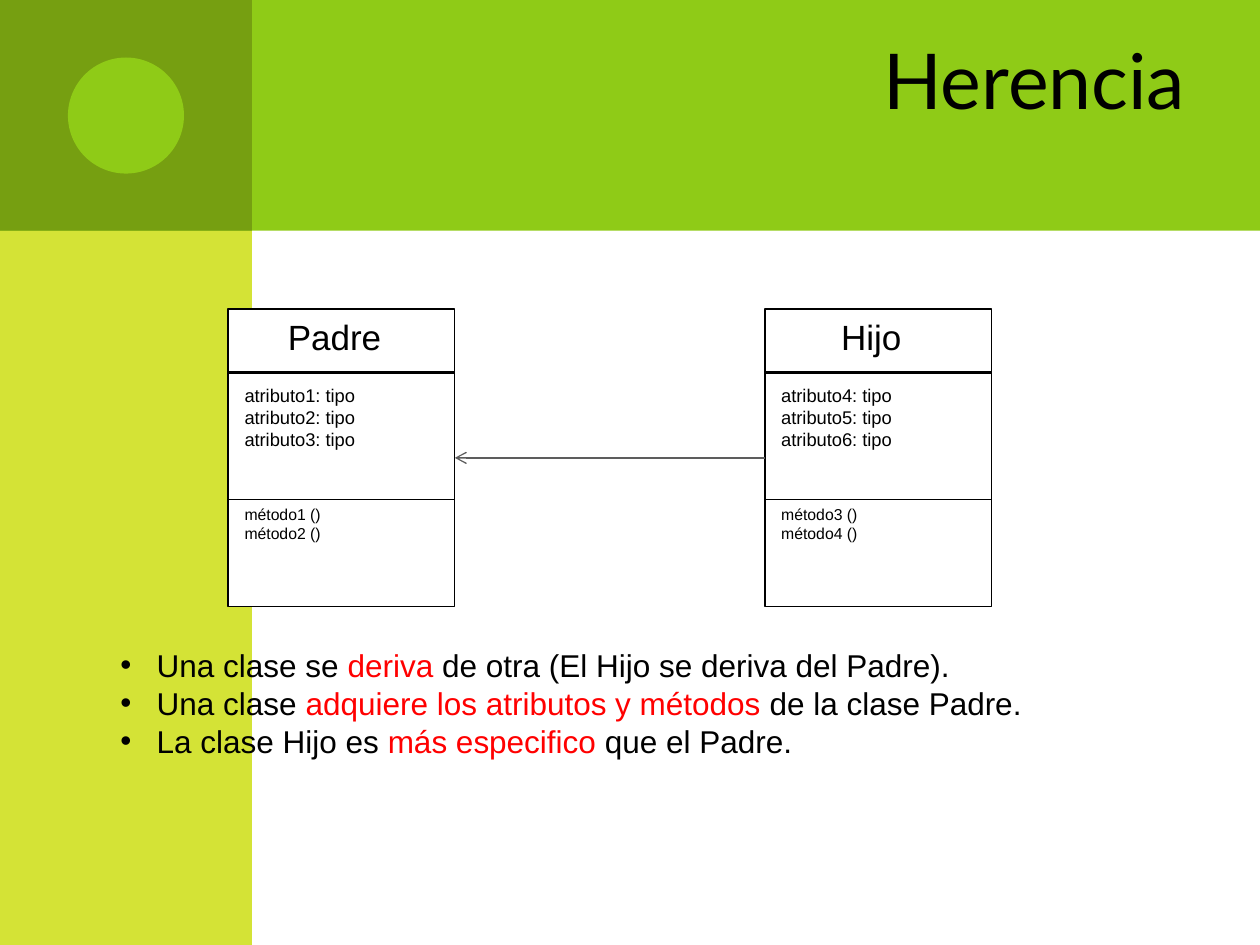
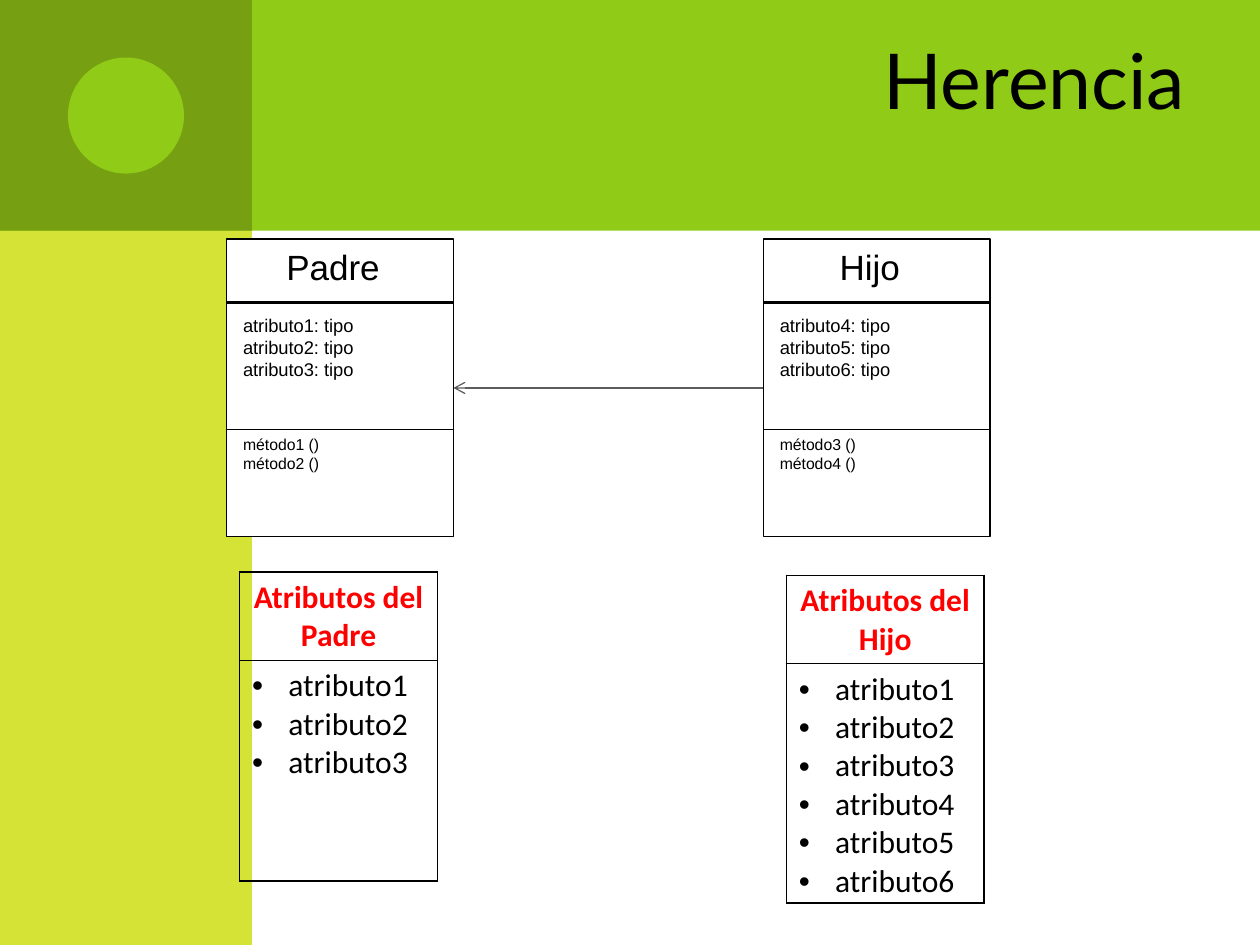
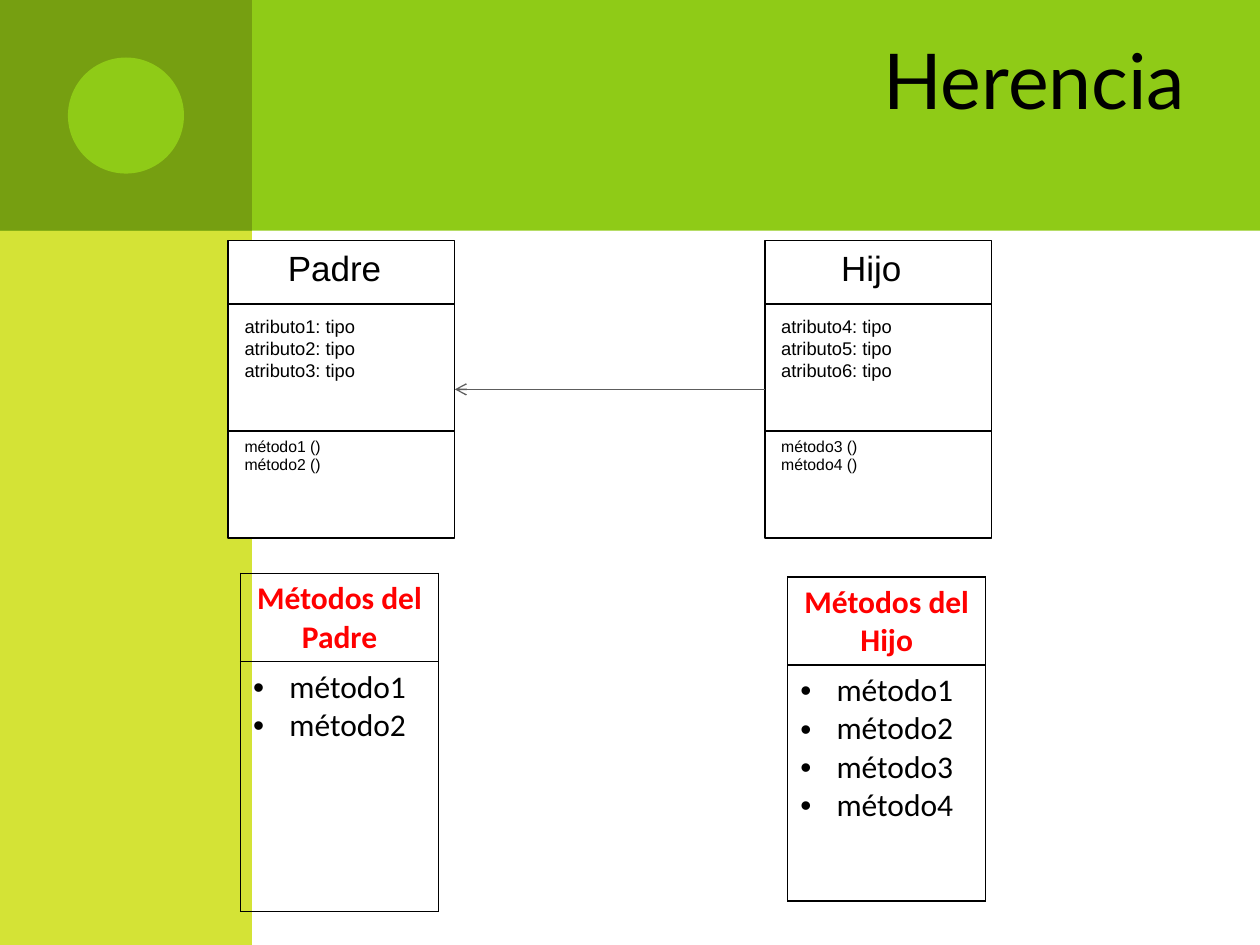
from lxml.etree import SubElement
from pptx import Presentation
from pptx.dml.color import RGBColor
from pptx.enum.shapes import MSO_CONNECTOR, MSO_SHAPE
from pptx.enum.text import MSO_ANCHOR, PP_ALIGN
from pptx.oxml.ns import qn
from pptx.util import Cm, Pt

LIME = RGBColor(0x8F, 0xCB, 0x17)
OLIVE = RGBColor(0x76, 0x9F, 0x11)
YELLOW = RGBColor(0xD4, 0xE3, 0x36)
WHITE = RGBColor(0xFF, 0xFF, 0xFF)
BLACK = RGBColor(0, 0, 0)
RED = RGBColor(0xFF, 0, 0)
GRAY = RGBColor(0x5D, 0x5D, 0x5D)

TITLE_FONT, DIAGRAM_FONT, TABLE_FONT = "Lato", "Arial", "Calibri"
BULLET_INDENT = Cm(0.73)
PARENT_SIDE_RIGHT, CHILD_SIDE_LEFT = 3, 1

# Class diagram and table measures, in centimetres
CLASS_WIDTH, CLASS_HEIGHT, CLASS_STEP = 4.57, 6, 10.82
TABLE_WIDTH, HEADING_HEIGHT = 3.99, 1.78

PARENT = ("Padre", ["atributo1: tipo", "atributo2: tipo", "atributo3: tipo"],
          ["método1 ()", "método2 ()"])
CHILD = ("Hijo", ["atributo4: tipo", "atributo5: tipo", "atributo6: tipo"],
         ["método3 ()", "método4 ()"])


class Deck:
    """Holds the shared style and the slide being filled."""

    def __init__(self):
        self.presentation = Presentation()
        self.presentation.slide_width = Cm(25.4)
        self.presentation.slide_height = Cm(19.05)
        self.layout = self.presentation.slide_layouts[5]
        self.slide = None

    def new_slide(self, heading):
        self.slide = self.presentation.slides.add_slide(self.layout)
        if len(self.presentation.slides) == 1:
            self.decorate_layout()
        title = self.slide.shapes.title
        title.left, title.top = Cm(3.73), Cm(0)
        title.width, title.height = Cm(20.42), Cm(3.18)
        title.text_frame.vertical_anchor = MSO_ANCHOR.MIDDLE
        self.fill_text(title.text_frame, [heading], 44, TITLE_FONT, align=PP_ALIGN.RIGHT)

    def decorate_layout(self):
        """Draw the bands once and move them behind the layout's placeholders."""
        bands = [
            self.shape(MSO_SHAPE.RECTANGLE, 0, 0, 5.08, 19.05, YELLOW),
            self.shape(MSO_SHAPE.RECTANGLE, 0, 0, 25.4, 4.65, LIME),
            self.shape(MSO_SHAPE.RECTANGLE, 0, 0, 5.08, 4.65, OLIVE),
            self.shape(MSO_SHAPE.OVAL, 1.37, 1.16, 2.34, 2.34, LIME),
        ]
        for order, band in enumerate(bands):
            band.element.nvSpPr.cNvPr.set("id", str(100 + order))
            self.layout.shapes.element.insert(2 + order, band.element)

    def shape(self, preset, left, top, width, height, fill, outline=None):
        shape = self.slide.shapes.add_shape(
            preset, Cm(left), Cm(top), Cm(width), Cm(height))
        shape.shadow.inherit = False
        shape.fill.solid()
        shape.fill.fore_color.rgb = fill
        if outline is None:
            shape.line.fill.background()
        else:
            shape.line.color.rgb = outline
            shape.line.width = Pt(0.75)
        return shape

    def line(self, x1, y1, x2, y2, color=BLACK, weight=0.75):
        line = self.slide.shapes.add_connector(
            MSO_CONNECTOR.STRAIGHT, Cm(x1), Cm(y1), Cm(x2), Cm(y2))
        line.line.color.rgb = color
        line.line.width = Pt(weight)
        SubElement(line.element.spPr, qn("a:effectLst"))
        return line

    def text(self, left, top, width, height, paragraphs, size, **style):
        box = self.slide.shapes.add_textbox(Cm(left), Cm(top), Cm(width), Cm(height))
        box.text_frame.word_wrap = True
        self.fill_text(box.text_frame, paragraphs, size, DIAGRAM_FONT, **style)

    def fill_text(self, frame, paragraphs, size, font, color=BLACK, bold=False,
                  align=PP_ALIGN.LEFT, bullets=False):
        """Each paragraph is a string or a list of (text, colour) runs."""
        for number, content in enumerate(paragraphs):
            paragraph = frame.add_paragraph() if number else frame.paragraphs[0]
            paragraph.alignment = align
            if bullets:
                self.bullet(paragraph)
            runs = [(content, color)] if isinstance(content, str) else content
            for words, run_color in runs:
                run = paragraph.add_run()
                run.text = words
                run.font.size = Pt(size)
                run.font.name = font
                run.font.bold = bold
                run.font.color.rgb = run_color

    def bullet(self, paragraph):
        properties = paragraph._p.get_or_add_pPr()
        properties.set("marL", str(BULLET_INDENT))
        properties.set("indent", str(-BULLET_INDENT))
        SubElement(properties, qn("a:buFont"), typeface="Arial")
        SubElement(properties, qn("a:buChar"), char="•")

    def class_box(self, left, top, name, attributes, methods):
        box = self.shape(MSO_SHAPE.RECTANGLE, left, top, CLASS_WIDTH, CLASS_HEIGHT,
                         WHITE, BLACK)
        for offset, weight in ((1.28, 1.5), (3.84, 0.75)):
            self.line(left, top + offset, left + CLASS_WIDTH, top + offset, weight=weight)
        self.text(left, top, 4.29, 1.35, [name], 20, align=PP_ALIGN.CENTER)
        self.text(left + 0.08, top + 1.38, 3.18, 1.57, attributes, 10.5)
        self.text(left + 0.08, top + 3.82, 4.62, 1.02, methods, 9)
        return box

    def inheritance(self, left, top):
        parent = self.class_box(left, top, *PARENT)
        child = self.class_box(left + CLASS_STEP, top, *CHILD)
        middle = top + CLASS_HEIGHT / 2
        arrow = self.line(left + CLASS_STEP, middle, left + CLASS_WIDTH, middle, GRAY)
        arrow.begin_connect(child, CHILD_SIDE_LEFT)
        arrow.end_connect(parent, PARENT_SIDE_RIGHT)
        SubElement(arrow.element.spPr.find(qn("a:ln")), qn("a:tailEnd"), type="arrow")

    def member_table(self, left, top, list_height, heading, members):
        table = self.slide.shapes.add_table(
            2, 1, Cm(left), Cm(top), Cm(TABLE_WIDTH),
            Cm(HEADING_HEIGHT + list_height)).table
        table.first_row = table.horz_banding = False
        table.rows[0].height = Cm(HEADING_HEIGHT)
        table.rows[1].height = Cm(list_height)
        heading_cell, list_cell = table.cell(0, 0), table.cell(1, 0)
        self.fill_text(heading_cell.text_frame, [heading], 18, TABLE_FONT, RED,
                       bold=True, align=PP_ALIGN.CENTER)
        self.fill_text(list_cell.text_frame, members, 18, TABLE_FONT, bullets=True)
        for cell in (heading_cell, list_cell):
            self.cell_borders(cell)
            cell.fill.background()

    def cell_borders(self, cell):
        properties = cell._tc.get_or_add_tcPr()
        for side in ("a:lnL", "a:lnR", "a:lnT", "a:lnB"):
            border = SubElement(properties, qn(side), w=str(Pt(1)))
            fill = SubElement(border, qn("a:solidFill"))
            SubElement(fill, qn("a:srgbClr"), val=str(BLACK))


def numbered(word, count):
    return [f"{word}{number}" for number in range(1, count + 1)]


def main():
    deck = Deck()

    # Definition of inheritance
    deck.new_slide("Herencia")
    deck.text(2.18, 12.9, 20.42, 2.54, [
        [("Una clase se ", BLACK), ("deriva", RED),
         (" de otra (El Hijo se deriva del Padre).", BLACK)],
        [("Una clase ", BLACK), ("adquiere los atributos y métodos ", RED),
         ("de la clase Padre.", BLACK)],
        [("La clase Hijo es ", BLACK), ("más especifico ", RED),
         ("que el Padre.", BLACK)],
    ], 18, bullets=True)
    deck.inheritance(4.6, 6.23)

    # Inherited attributes
    deck.new_slide("Herencia")
    deck.inheritance(4.57, 4.82)
    deck.member_table(4.83, 11.53, 4.45, "Atributos del Padre", numbered("atributo", 3))
    deck.member_table(15.85, 11.6, 4.78, "Atributos del Hijo", numbered("atributo", 6))

    # Inherited methods
    deck.new_slide("Herencia")
    deck.inheritance(4.6, 4.85)
    deck.member_table(4.85, 11.56, 5.03, "Métodos del Padre", numbered("método", 2))
    deck.member_table(15.88, 11.63, 4.75, "Métodos del Hijo", numbered("método", 4))

    deck.presentation.save("out.pptx")


if __name__ == "__main__":
    main()
